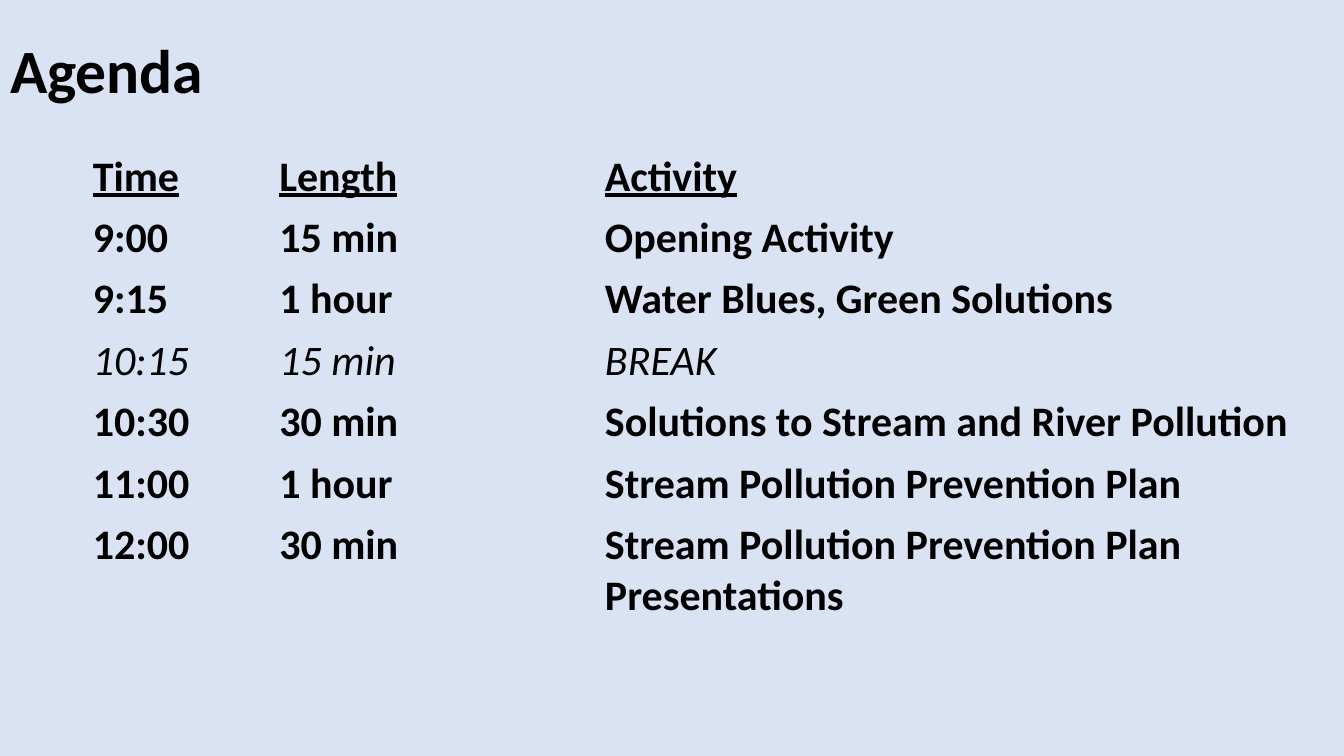
from pptx import Presentation
from pptx.dml.color import RGBColor
from pptx.enum.text import MSO_ANCHOR, MSO_AUTO_SIZE, PP_ALIGN
from pptx.oxml.ns import qn
from pptx.util import Inches, Pt

BLACK = RGBColor(0x00, 0x00, 0x00)
PALE_BLUE = RGBColor(0xDA, 0xE3, 0xF3)
FONT = "Calibri"
NO_STYLE_NO_GRID = "{2D5ABB26-0587-4C30-8999-92F81FD0307C}"

HEADER = {"bold": True, "underline": True}
SESSION = {"bold": True}
BREAK = {"bold": False, "italic": True}

COLUMN_WIDTHS = (1.85, 3.23, 7.15)
ROW_HEIGHT = 0.41
AGENDA = [
    (HEADER, "Time", "Length", "Activity"),
    (SESSION, "9:00", "15 min", "Opening Activity"),
    (SESSION, "9:15", "1 hour", "Water Blues, Green Solutions"),
    (BREAK, "10:15", "15 min", "BREAK"),
    (SESSION, "10:30", "30 min", "Solutions to Stream and River Pollution"),
    (SESSION, "11:00", "1 hour", "Stream Pollution Prevention Plan"),
    (SESSION, "12:00", "30 min", "Stream Pollution Prevention Plan Presentations"),
]


def write(p, text, size, **formats):
    r = p.add_run()
    r.text = text
    r.font.color.rgb = BLACK
    for name, value in {"name": FONT, "size": Pt(size), **formats}.items():
        setattr(r.font, name, value)


def set_title(s, text):
    title = s.shapes.title
    box = {"left": 0, "top": 0, "width": 11.5, "height": 1.45}
    for name, value in box.items():
        setattr(title, name, Inches(value))
    tf = title.text_frame
    tf.auto_size = MSO_AUTO_SIZE.NONE
    tf.vertical_anchor = MSO_ANCHOR.MIDDLE
    p = tf.paragraphs[0]
    p.alignment = PP_ALIGN.LEFT
    p.line_spacing = 0.9
    write(p, text, 44, bold=True)


def add_agenda(s):
    table = s.shapes.add_table(
        len(AGENDA), len(COLUMN_WIDTHS), Inches(0.82), Inches(1.45),
        Inches(sum(COLUMN_WIDTHS)), Inches(ROW_HEIGHT * len(AGENDA))).table
    table.first_row = table.horz_banding = False
    table._tbl.tblPr.find(qn("a:tableStyleId")).text = NO_STYLE_NO_GRID
    for column, width in zip(table.columns, COLUMN_WIDTHS):
        column.width = Inches(width)
    for row, (formats, *texts) in zip(table.rows, AGENDA):
        for cell, text in zip(row.cells, texts):
            cell.fill.background()
            write(cell.text_frame.paragraphs[0], text, 30, **formats)


def main():
    prs = Presentation()
    prs.slide_width, prs.slide_height = Inches(13.33), Inches(7.5)
    s = prs.slides.add_slide(prs.slide_layouts.get_by_name("Title Only"))
    s.background.fill.solid()
    s.background.fill.fore_color.rgb = PALE_BLUE
    set_title(s, "Agenda")
    add_agenda(s)
    prs.save("out.pptx")


if __name__ == "__main__":
    main()
